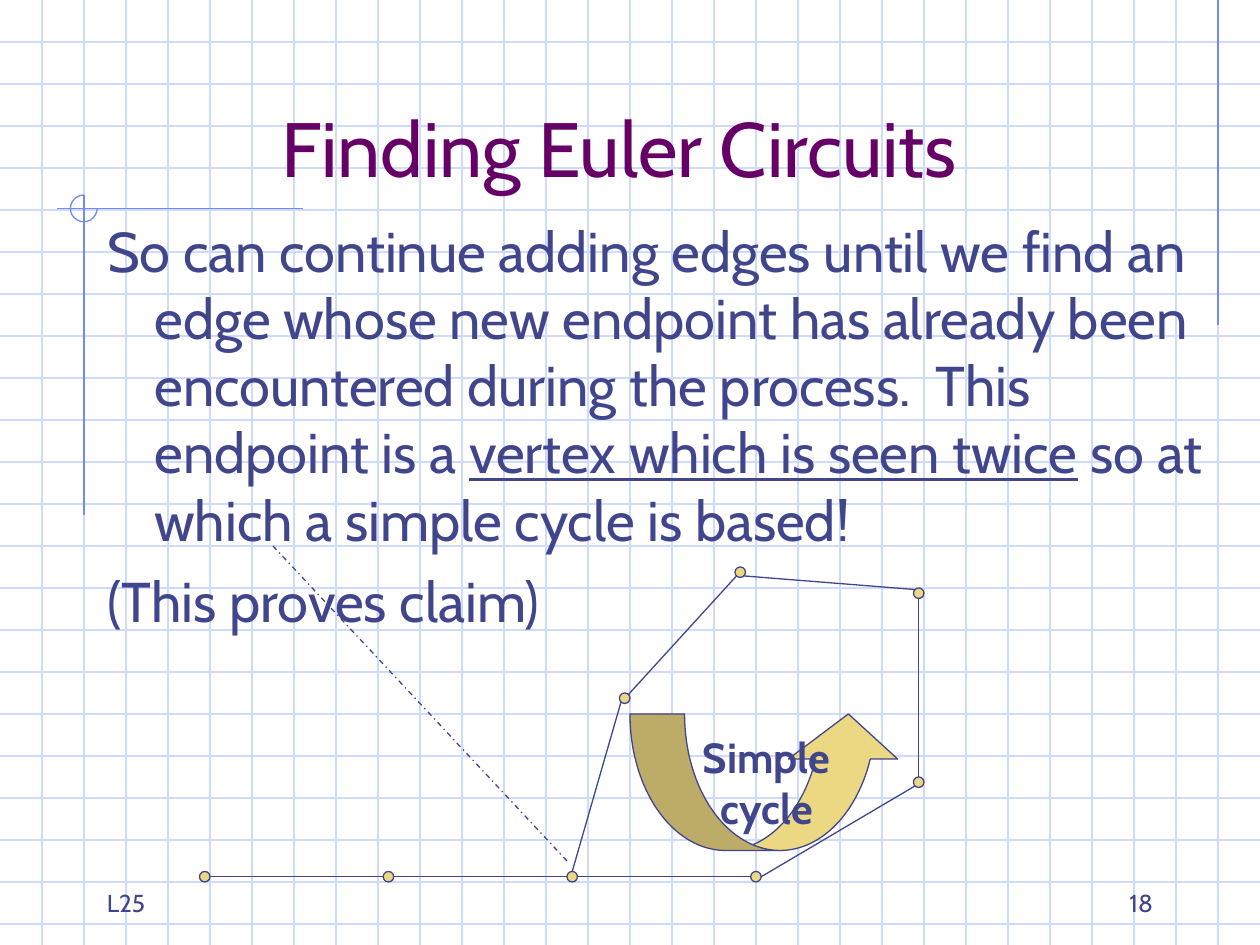
from lxml import etree
from pptx import Presentation
from pptx.dml.color import RGBColor
from pptx.enum import dml, shapes, text
from pptx.oxml.ns import qn
from pptx.util import Pt

# Content
TITLE = "Finding Euler Circuits"
BODY = [
    [("So can continue adding edges until we find an edge whose new endpoint has "
      "already been encountered during the process.  This endpoint is a ", False),
     ("vertex which is seen twice", True),
     (" so at which a simple cycle is based!", False)],
    [("(This proves claim)", False)],
]
CYCLE_LABEL = ["Simple", "cycle"]
FOOTERS = [("L25", 54, text.PP_ALIGN.LEFT), ("18", 516, text.PP_ALIGN.RIGHT)]

# Vertex centres, and edges as (vertex, side, vertex, side)
VERTICES = [(117, 501), (222, 501), (327, 501), (432, 501),
            (525, 447), (525, 339), (423, 327), (357, 399)]
EDGES = [(0, "E", 1, "W"), (1, "E", 2, "W"), (2, "E", 3, "W"), (3, "E", 4, "SW"),
         (4, "N", 5, "S"), (6, "SE", 5, "NW"), (7, "NE", 6, "SW"), (7, "SW", 2, "N")]
UNUSED_EDGE = (156, 312, 324, 492)
RADIUS = 3

FONT = "Cabin"
INK, PURPLE, GOLD = "40458C", "660066", "ECD882"
GRID, RULE = "CFDBFD", "6F89F7"
WIDTH, HEIGHT, STEP = 720, 540, 24
RULES = [(696, 0, 696, 186), (173, 119.25, 32.5, 119.25), (48, 111.5, 48, 294.5)]


def rgb(code):
    return RGBColor.from_string(code)


def add_line(parent, x1, y1, x2, y2, color=INK):
    c = parent.add_connector(shapes.MSO_CONNECTOR.STRAIGHT, Pt(x1), Pt(y1), Pt(x2), Pt(y2))
    c.line.color.rgb, c.line.width = rgb(color), Pt(0.75)
    etree.SubElement(c._element.spPr, qn("a:effectLst"))
    return c


def add_shape(parent, kind, box, line=INK, fill=None):
    sp = parent.add_shape(kind, *map(Pt, box))
    sp.shadow.inherit = False
    sp.line.color.rgb, sp.line.width = rgb(line), Pt(0.75)
    if fill:
        sp.fill.solid()
        sp.fill.fore_color.rgb = rgb(fill)
    else:
        sp.fill.background()
    return sp


def place(sp, *box):
    sp.left, sp.top, sp.width, sp.height = map(Pt, box)


def style(p, size, color=INK, align=text.PP_ALIGN.LEFT, bold=False):
    p.alignment = align
    p.font.name, p.font.size, p.font.bold = FONT, Pt(size), bold
    p.font.color.rgb = rgb(color)


def anchor_point(vertex, side):
    x, y = VERTICES[vertex]
    dx = ("E" in side) - ("W" in side)
    dy = ("S" in side) - ("N" in side)
    reach = RADIUS / (dx * dx + dy * dy) ** 0.5
    return x + dx * reach, y + dy * reach


prs = Presentation()
prs.slide_width, prs.slide_height = Pt(WIDTH), Pt(HEIGHT)
s = prs.slides.add_slide(prs.slide_layouts[1])

# Graph paper with margin rules, sent behind the text
paper = s.shapes.add_group_shape()
for y in range(STEP, HEIGHT, STEP):
    add_line(paper.shapes, 0, y, WIDTH, y, GRID)
for x in range(STEP, WIDTH, STEP):
    add_line(paper.shapes, x, 0, x, HEIGHT, GRID)
for rule in RULES:
    add_line(paper.shapes, *rule, RULE)
arc = add_shape(paper.shapes, shapes.MSO_SHAPE.ARC, (40.25, 111.5, 15.25, 15.25), RULE)
arc.adjustments[0], arc.adjustments[1] = 0, 162  # 0 to 270 degrees
s.shapes._spTree.insert(2, paper._element)

# Footers
for words, left, align in FOOTERS:
    tf = s.shapes.add_textbox(Pt(left), Pt(492), Pt(150), Pt(36)).text_frame
    tf.word_wrap, tf.vertical_anchor = True, text.MSO_ANCHOR.BOTTOM
    tf.text = words
    style(tf.paragraphs[0], 14, align=align)

# Title
title = s.shapes.title
place(title, 48, 24, 612, 90)
tf = title.text_frame
tf.text = TITLE
tf.auto_size, tf.vertical_anchor = text.MSO_AUTO_SIZE.NONE, text.MSO_ANCHOR.BOTTOM
style(tf.paragraphs[0], 44, PURPLE, text.PP_ALIGN.CENTER)

# Body with hanging indent and no bullets
body = s.placeholders[1]
place(body, 54, 120, 648, 402)
tf = body.text_frame
tf.auto_size = text.MSO_AUTO_SIZE.NONE
for i, runs in enumerate(BODY):
    p = tf.add_paragraph() if i else tf.paragraphs[0]
    style(p, 32)
    p.space_before = Pt(8)
    pPr = p._p.get_or_add_pPr()
    pPr.set("marL", str(Pt(27)))
    pPr.set("indent", str(Pt(-27)))
    pPr.insert_element_before(etree.Element(qn("a:buNone")), "a:tabLst", "a:defRPr", "a:extLst")
    for words, underlined in runs:
        r = p.add_run()
        r.text = words
        if underlined:
            r.font.underline = True

# Graph
for x, y in VERTICES:
    add_shape(s.shapes, shapes.MSO_SHAPE.OVAL,
              (x - RADIUS, y - RADIUS, 2 * RADIUS, 2 * RADIUS), fill=GOLD)
for start, side1, end, side2 in EDGES:
    add_line(s.shapes, *anchor_point(start, side1), *anchor_point(end, side2))
add_line(s.shapes, *UNUSED_EDGE).line.dash_style = dml.MSO_LINE.DASH_DOT

# Arrow inside the cycle
arrow = add_shape(s.shapes, shapes.MSO_SHAPE.CURVED_UP_ARROW, (360, 408, 156, 78), fill=GOLD)
for i, value in enumerate((0.4, 0.8, 0.33)):
    arrow.adjustments[i] = value
tf = arrow.text_frame
tf.word_wrap, tf.vertical_anchor = False, text.MSO_ANCHOR.MIDDLE
for i, words in enumerate(CYCLE_LABEL):
    p = tf.add_paragraph() if i else tf.paragraphs[0]
    p.text = words
    style(p, 24, align=text.PP_ALIGN.CENTER, bold=True)

prs.save("out.pptx")
